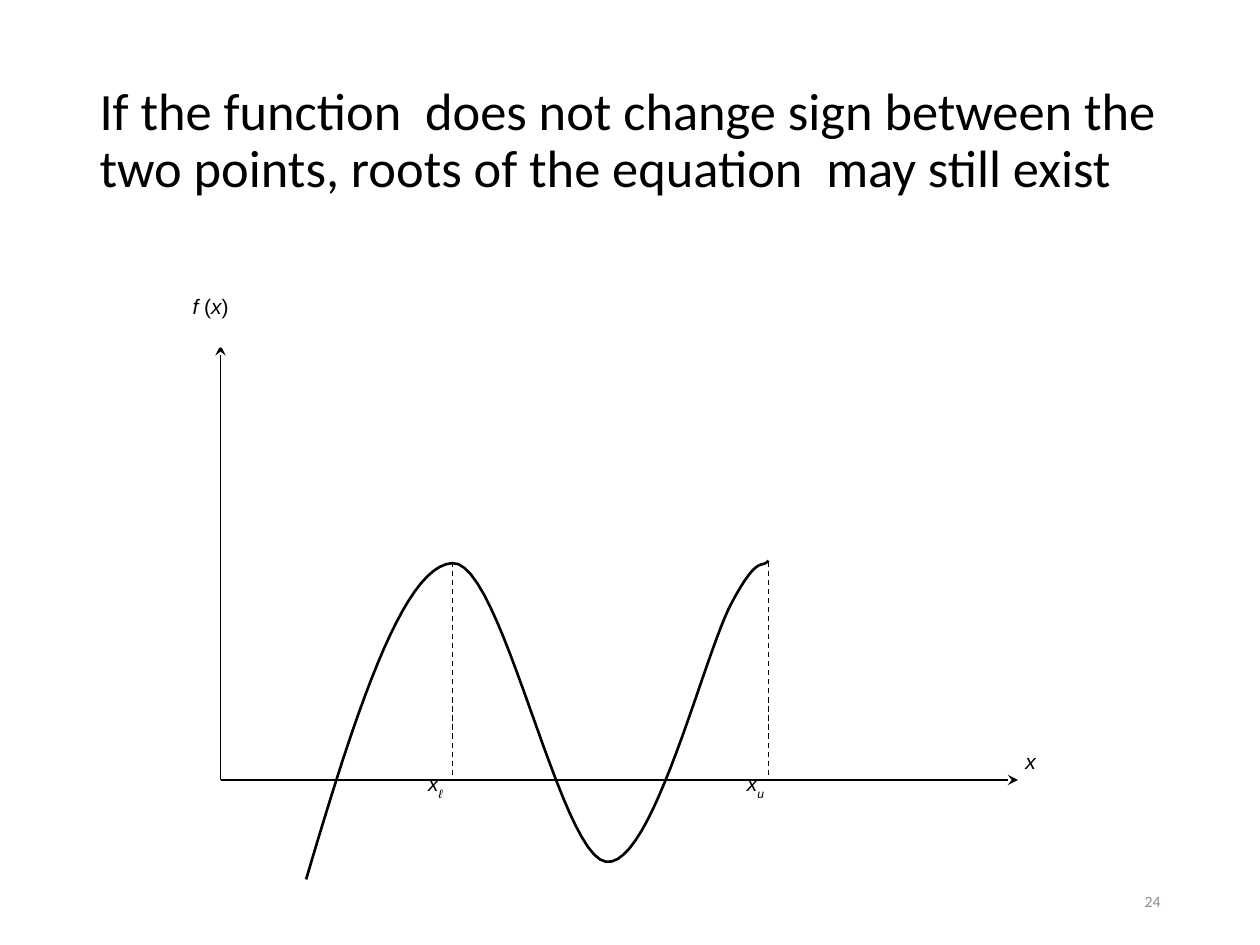
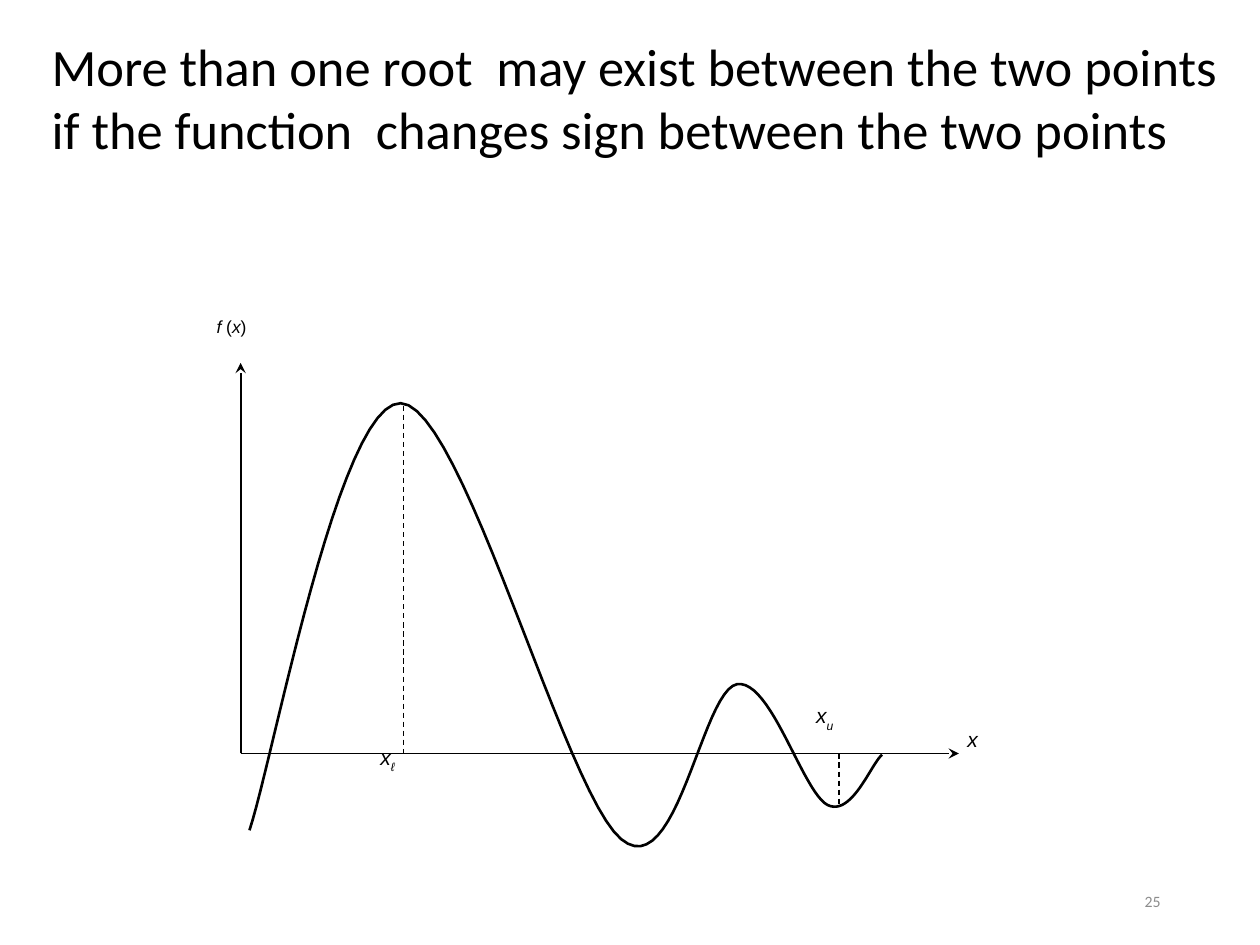
import pptx
import pptx.util
import pptx.dml.color
import pptx.enum.dml
import pptx.enum.shapes
import pptx.enum.text
import pptx.oxml.ns
from lxml import etree

Inches = pptx.util.Inches
Align = pptx.enum.text.PP_ALIGN
Anchor = pptx.enum.text.MSO_ANCHOR

BLACK = "000000"
WHITE = "FFFFFF"
GREY = "8C8C8C"
TITLE_FONT = "Calibri"
LABEL_FONT = "Arial"
CURVE_STEPS = 24

FUNCTION_LABEL = [("f ", "italic"), ("(", "plain"), ("x", "italic"), (")", "plain")]
X_LABEL = [("x", "italic")]
LOWER_LABEL = X_LABEL + [("ℓ", "subscript")]
UPPER_LABEL = X_LABEL + [("u", "subscript")]


def color(hex_string):
    return pptx.dml.color.RGBColor.from_string(hex_string)


def add_xml(parent, tag, **attributes):
    return etree.SubElement(parent, pptx.oxml.ns.qn(tag), **attributes)


def set_font(paragraph, name, size, hex_string):
    paragraph.font.name = name
    paragraph.font.size = pptx.util.Pt(size)
    paragraph.font.color.rgb = color(hex_string)


def place(box, bounds):
    box.left, box.top, box.width, box.height = map(Inches, bounds)


def set_title(page, text, bounds, anchor, spacing):
    title = page.shapes.title
    place(title, bounds)
    frame = title.text_frame
    frame.text = text
    frame.word_wrap = True
    frame.auto_size = pptx.enum.text.MSO_AUTO_SIZE.NONE
    frame.vertical_anchor = anchor
    para = frame.paragraphs[0]
    para.alignment = Align.LEFT
    para.line_spacing = spacing
    set_font(para, TITLE_FONT, 30, BLACK)


def add_box(page, bounds):
    box = page.shapes.add_textbox(*map(Inches, bounds))
    box.text_frame.word_wrap = True
    return box


def add_page_number(page, number):
    frame = add_box(page, (7.06, 6.95, 2.25, 0.4)).text_frame
    frame.vertical_anchor = Anchor.MIDDLE
    para = frame.paragraphs[0]
    para.text = str(number)
    para.alignment = Align.RIGHT
    set_font(para, TITLE_FONT, 9, GREY)


def add_label(page, pieces, bounds, size=12, fill=None):
    box = add_box(page, bounds)
    if fill:
        box.fill.solid()
        box.fill.fore_color.rgb = color(fill)
    para = box.text_frame.paragraphs[0]
    para.alignment = Align.JUSTIFY
    set_font(para, LABEL_FONT, size, BLACK)
    for text, style in pieces:
        span = para.add_run()
        span.text = text
        span.font.italic = style != "plain"
        if style == "subscript":
            span._r.get_or_add_rPr().set("baseline", "-30000")


def set_line(shape, width):
    shape.line.color.rgb = color(BLACK)
    shape.line.width = pptx.util.Pt(width)


def add_line(page, start, end, width=0.75):
    line = page.shapes.add_connector(
        pptx.enum.shapes.MSO_CONNECTOR.STRAIGHT, *map(Inches, start + end))
    set_line(line, width)
    add_xml(line._element.spPr, "a:effectLst")
    return line


def add_axes(page, origin, top, right, width):
    for end in ((origin[0], top), (right, origin[1])):
        axis = add_line(page, origin, end, width)
        add_xml(axis.line._get_or_add_ln(), "a:tailEnd", type="stealth")


def add_marker(page, x, start, end):
    marker = add_line(page, (x, start), (x, end))
    marker.line.dash_style = pptx.enum.dml.MSO_LINE.DASH


def bezier_point(knots, t):
    weights = ((1 - t) ** 3, 3 * t * (1 - t) ** 2, 3 * t ** 2 * (1 - t), t ** 3)
    return tuple(Inches(sum(w * knot[axis] for w, knot in zip(weights, knots)))
                 for axis in (0, 1))


def add_curve(page, knots):
    points = [bezier_point(knots[first:first + 4], step / CURVE_STEPS)
              for first in range(0, len(knots) - 1, 3)
              for step in range(1, CURVE_STEPS + 1)]
    builder = page.shapes.build_freeform(Inches(knots[0][0]), Inches(knots[0][1]))
    builder.add_line_segments(points, close=False)
    curve = builder.convert_to_shape()
    curve.shadow.inherit = False
    curve.fill.background()
    set_line(curve, 1.5)


def add_page(deck, number):
    page = deck.slides.add_slide(deck.slide_layouts[5])
    add_page_number(page, number)
    return page


def add_same_sign_page(deck):
    page = add_page(deck, 24)
    set_title(page, "If the function  does not change sign between the two points, "
              "roots of the equation  may still exist",
              (0.69, 0.4, 8.62, 1.45), Anchor.MIDDLE, 0.9)
    axis_y = 6.19
    add_axes(page, (1.75, axis_y), 2.74, 8.08, 0.75)
    for x in (3.59, 6.1):
        add_marker(page, x, 4.46, axis_y)
    add_label(page, FUNCTION_LABEL, (1.43, 2.28, 0.88, 0.48), fill=WHITE)
    for pieces, left, top in ((LOWER_LABEL, 3.3, 6.07), (UPPER_LABEL, 5.83, 6.07),
                              (X_LABEL, 8.04, 5.89)):
        add_label(page, pieces, (left, top, 0.78, 0.6))
    add_curve(page, [(2.43, 6.98),
                     (2.8, 5.73), (3.19, 4.49), (3.59, 4.47),
                     (3.98, 4.44), (4.44, 6.79), (4.81, 6.84),
                     (5.18, 6.89), (5.59, 5.18), (5.81, 4.78),
                     (6.02, 4.39), (6.04, 4.52), (6.1, 4.45)])


def add_many_roots_page(deck):
    page = add_page(deck, 25)
    set_title(page, "More than one root  may exist between the two points "
              "if the function  changes sign between the two points",
              (0.31, 0.22, 9.53, 1.11), Anchor.TOP, 1.0)
    axis_y = 5.98
    add_axes(page, (1.91, axis_y), 2.88, 7.61, 1)
    add_curve(page, [(1.98, 6.59),
                     (2.17, 6.02), (2.69, 3.19), (3.18, 3.2),
                     (3.67, 3.21), (4.48, 6.29), (4.93, 6.66),
                     (5.37, 7.03), (5.57, 5.48), (5.85, 5.43),
                     (6.12, 5.39), (6.37, 6.29), (6.57, 6.39),
                     (6.76, 6.48), (6.91, 6.07), (7, 5.99)])
    add_marker(page, 3.2, 3.22, axis_y)
    add_marker(page, 6.66, axis_y, 6.4)
    add_label(page, FUNCTION_LABEL, (1.62, 2.46, 0.72, 0.46), size=10)
    for pieces, left, top in ((LOWER_LABEL, 2.92, 5.86), (UPPER_LABEL, 6.38, 5.53),
                              (X_LABEL, 7.58, 5.72)):
        add_label(page, pieces, (left, top, 0.7, 0.54))


def main():
    deck = pptx.Presentation()
    deck.slide_width, deck.slide_height = Inches(10), Inches(7.5)
    add_same_sign_page(deck)
    add_many_roots_page(deck)
    deck.save("out.pptx")


if __name__ == "__main__":
    main()
